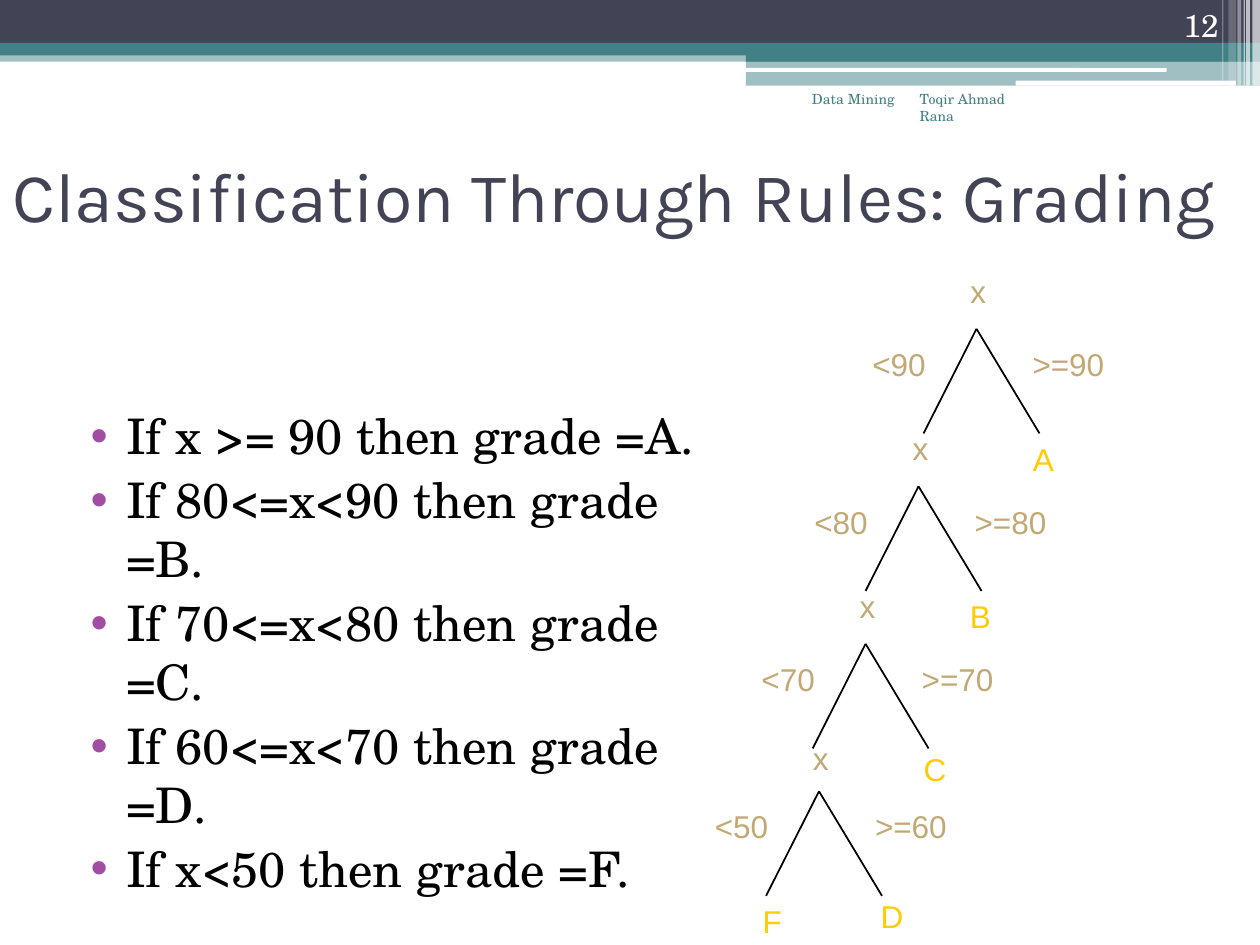
from dataclasses import dataclass

from pptx import Presentation, util as u
from pptx.dml.color import RGBColor
from pptx.enum import shapes as sh, text as tx
from pptx.oxml.ns import qn
from lxml import etree


@dataclass(frozen=True)
class Theme:
    dark: str = "424456"
    teal: str = "438086"
    white: str = "FFFFFF"
    black: str = "000000"
    tan: str = "C2A874"
    gold: str = "FFCC00"
    purple: str = "A04DA3"
    head: str = "Karla"
    serif: str = "TeX Gyre Schola"
    sans: str = "Arial"
    big: int = 40
    list: int = 28
    mid: int = 18
    small: int = 8


T = Theme()
LEFT, MID, RIGHT = tx.PP_ALIGN.LEFT, tx.PP_ALIGN.CENTER, tx.PP_ALIGN.RIGHT
TOP, CENTER, LOW = (tx.MSO_ANCHOR.TOP, tx.MSO_ANCHOR.MIDDLE,
                    tx.MSO_ANCHOR.BOTTOM)


def inch(*vals):
    return [u.Inches(v) for v in vals]


class Deck:
    def __init__(self):
        self.prs = Presentation()
        self.prs.slide_width, self.prs.slide_height = inch(10, 7.5)
        self.slide = self.prs.slides.add_slide(self.prs.slide_layouts[1])

    def run(self, par, words, size, font, color):
        run = par.add_run()
        run.text = words
        run.font.size, run.font.name = u.Pt(size), font
        run.font.color.rgb = RGBColor.from_string(color)

    def bar(self, at, color, alpha=100, round=False):
        kind = sh.MSO_SHAPE.ROUNDED_RECTANGLE if round else sh.MSO_SHAPE.RECTANGLE
        bar = self.slide.shapes.add_shape(kind, *inch(*at))
        bar.shadow.inherit = False
        bar.line.fill.background()
        bar.fill.solid()
        bar.fill.fore_color.rgb = RGBColor.from_string(color)
        if alpha < 100:
            tint = bar.fill._xPr.find(".//" + qn("a:srgbClr"))
            etree.SubElement(tint, qn("a:alpha"), val=str(alpha * 1000))

    def hold(self, index, at, anchor):
        """Move a template placeholder and return its text frame."""
        box = self.slide.placeholders[index]
        box.left, box.top, box.width, box.height = inch(*at)
        frame = box.text_frame
        frame.word_wrap, frame.auto_size = True, tx.MSO_AUTO_SIZE.NONE
        frame.vertical_anchor = anchor
        return frame

    def title(self, words, at):
        par = self.hold(0, at, CENTER).paragraphs[0]
        par.alignment = LEFT
        self.run(par, words, T.big, T.head, T.dark)

    def bullets(self, items, at):
        frame = self.hold(1, at, TOP)
        for i, item in enumerate(items):
            par = frame.add_paragraph() if i else frame.paragraphs[0]
            par.alignment, par.space_before = LEFT, u.Pt(3)
            prop = par._p.get_or_add_pPr()
            prop.set("marL", str(u.Inches(0.4)))
            prop.set("indent", str(u.Inches(-0.28)))
            tint = etree.SubElement(prop, qn("a:buClr"))
            etree.SubElement(tint, qn("a:srgbClr"), val=T.purple)
            etree.SubElement(prop, qn("a:buChar"), char="•")
            self.run(par, item, T.list, T.serif, T.black)

    def note(self, words, at, size, color, align=LEFT, anchor=TOP):
        frame = self.slide.shapes.add_textbox(*inch(*at)).text_frame
        frame.word_wrap, frame.vertical_anchor = True, anchor
        par = frame.paragraphs[0]
        par.alignment = align
        self.run(par, words, size, T.serif, color)

    def label(self, host, words, x, y, wide, color=T.tan):
        frame = host.add_textbox(*inch(x, y, wide, 0.5)).text_frame
        frame.word_wrap = False
        frame.auto_size = tx.MSO_AUTO_SIZE.SHAPE_TO_FIT_TEXT
        par = frame.paragraphs[0]
        par.alignment = MID
        self.run(par, words, T.mid, T.sans, color)

    def line(self, host, x, y, dx, dy):
        line = host.add_connector(sh.MSO_CONNECTOR.STRAIGHT,
                                  *inch(x, y, x + dx, y + dy))
        line.line.width = u.Pt(1)
        line.line.color.rgb = RGBColor.from_string(T.black)
        etree.SubElement(line._element.spPr, qn("a:effectLst"))

    def split(self, x, y, less, more, rise):
        """One test on x: two branches with their conditions."""
        host = self.slide.shapes.add_group_shape().shapes
        for dx in (-0.42, 0.5):
            self.line(host, x, y, dx, 0.83)
        self.label(host, more, x + 0.25, y + 0.08, 0.96)
        self.label(host, less, x - 1, y + 0.08, 0.77)
        self.label(host, "x", x - 0.17, y - rise, 0.37)


def main():
    deck = Deck()

    # Header bands
    deck.bar((0, 0.4, 10, 0.09), T.teal, 50)
    deck.bar((0, 0, 10, 0.34), T.dark)
    deck.bar((0, 0.34, 10, 0.1), T.teal)
    deck.bar((5.92, 0.39, 4.08, 0.1), T.teal)
    deck.bar((5.92, 0.48, 4.08, 0.2), T.teal, 50)
    deck.bar((5.91, 0.54, 3.35, 0.03), T.white, round=True)
    deck.bar((8.06, 0.64, 1.75, 0.04), T.white, round=True)

    # Pale stripes at the right edge
    for x, wide, high, alpha in ((9.94, 0.06, 0.68, 65), (9.89, 0.03, 0.68, 65),
                                 (9.87, 0.01, 0.68, 60), (9.82, 0.03, 0.68, 40),
                                 (9.75, 0.06, 0.64, 20), (9.7, 0.01, 0.64, 30)):
        deck.bar((x, 0, wide, high), T.white, alpha)

    # Title and rules
    deck.title("Classification Through Rules: Grading", (0, 1, 10, 1.08))
    deck.bullets(("If x >= 90 then grade =A.",
                  "If 80<=x<90 then grade =B.",
                  "If 70<=x<80 then grade =C.",
                  "If 60<=x<70 then grade =D.",
                  "If x<50 then grade =F."), (0.5, 3.17, 5.25, 4.5))

    # Decision tree
    for x, y, less, more, rise in ((7.75, 2.61, "<90", ">=90", 0.5),
                                   (7.29, 3.86, "<80", ">=80", 0.5),
                                   (6.87, 5.11, "<70", ">=70", 0.5),
                                   (6.5, 6.28, "<50", ">=60", 0.46)):
        deck.split(x, y, less, more, rise)

    # Grades at the leaves
    for grade, x, y, wide in (("A", 8.07, 3.44, 0.42), ("B", 7.57, 4.69, 0.42),
                              ("C", 7.2, 5.9, 0.44), ("D", 6.86, 7.07, 0.44),
                              ("F", 5.93, 7.11, 0.4)):
        deck.label(deck.slide.shapes, grade, x, y, wide, T.gold)

    # Author, page number and course
    deck.note("Toqir Ahmad Rana", (7.2, 0.67, 1.05, 0.5), T.small, T.teal)
    deck.note("12", (8.94, 0, 0.83, 0.4), T.mid, T.white, RIGHT, LOW)
    deck.note("Data Mining", (5.75, 0.67, 1.45, 0.5), T.small, T.teal, RIGHT)

    deck.prs.save("out.pptx")


if __name__ == "__main__":
    main()
